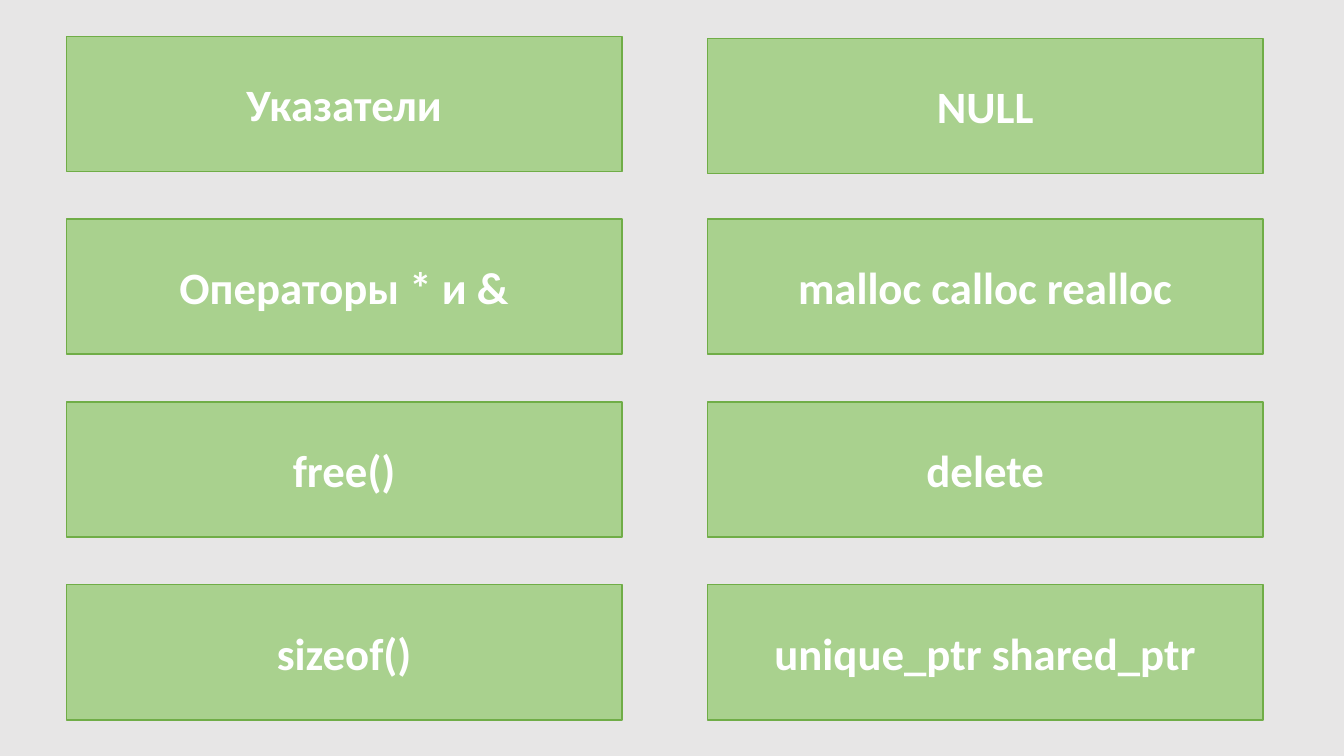
from dataclasses import dataclass

from pptx import Presentation
from pptx.dml.color import RGBColor
from pptx.enum.shapes import MSO_SHAPE as Shape
from pptx.enum.text import MSO_ANCHOR as Anchor, PP_ALIGN as Align
from pptx.slide import Slide
from pptx.util import Pt

LEFT, TOP = 47.5, 25.9
COL_STEP, ROW_STEP = 457.9, 130.6
WIDTH, HEIGHT = 396.7, 96.5


@dataclass
class Topic:
    text: str
    col: int
    row: int
    drop: float = 0


TOPICS = [
    Topic("Указатели", 0, 0),
    Topic("Операторы * и &", 0, 1),
    Topic("free()", 0, 2),
    Topic("delete", 1, 2),
    Topic("malloc calloc realloc", 1, 1),
    Topic("NULL", 1, 0, drop=1.6),
    Topic("sizeof()", 0, 3),
    Topic("unique_ptr shared_ptr", 1, 3),
]


def paint(color, value: str) -> None:
    color.rgb = RGBColor.from_string(value)


def draw_topic(slide: Slide, topic: Topic) -> None:
    left = LEFT + topic.col * COL_STEP
    top = TOP + topic.row * ROW_STEP + topic.drop
    box = slide.shapes.add_shape(
        Shape.RECTANGLE, Pt(left), Pt(top), Pt(WIDTH), Pt(HEIGHT)
    )
    box.shadow.inherit = False
    box.fill.solid()
    paint(box.fill.fore_color, "A9D18E")
    paint(box.line.color, "70AD47")
    box.line.width = Pt(1)

    frame = box.text_frame
    frame.word_wrap = True
    frame.vertical_anchor = Anchor.MIDDLE
    para = frame.paragraphs[0]
    para.text = topic.text
    para.alignment = Align.CENTER
    para.font.name = "Calibri"
    para.font.size = Pt(32)
    para.font.bold = True
    paint(para.font.color, "FFFFFF")


def main() -> None:
    deck = Presentation()
    deck.slide_width, deck.slide_height = Pt(960), Pt(540)
    slide = deck.slides.add_slide(deck.slide_layouts.get_by_name("Blank"))
    back = slide.background.fill
    back.solid()
    paint(back.fore_color, "E7E6E6")
    for topic in TOPICS:
        draw_topic(slide, topic)
    deck.save("out.pptx")


if __name__ == "__main__":
    main()
